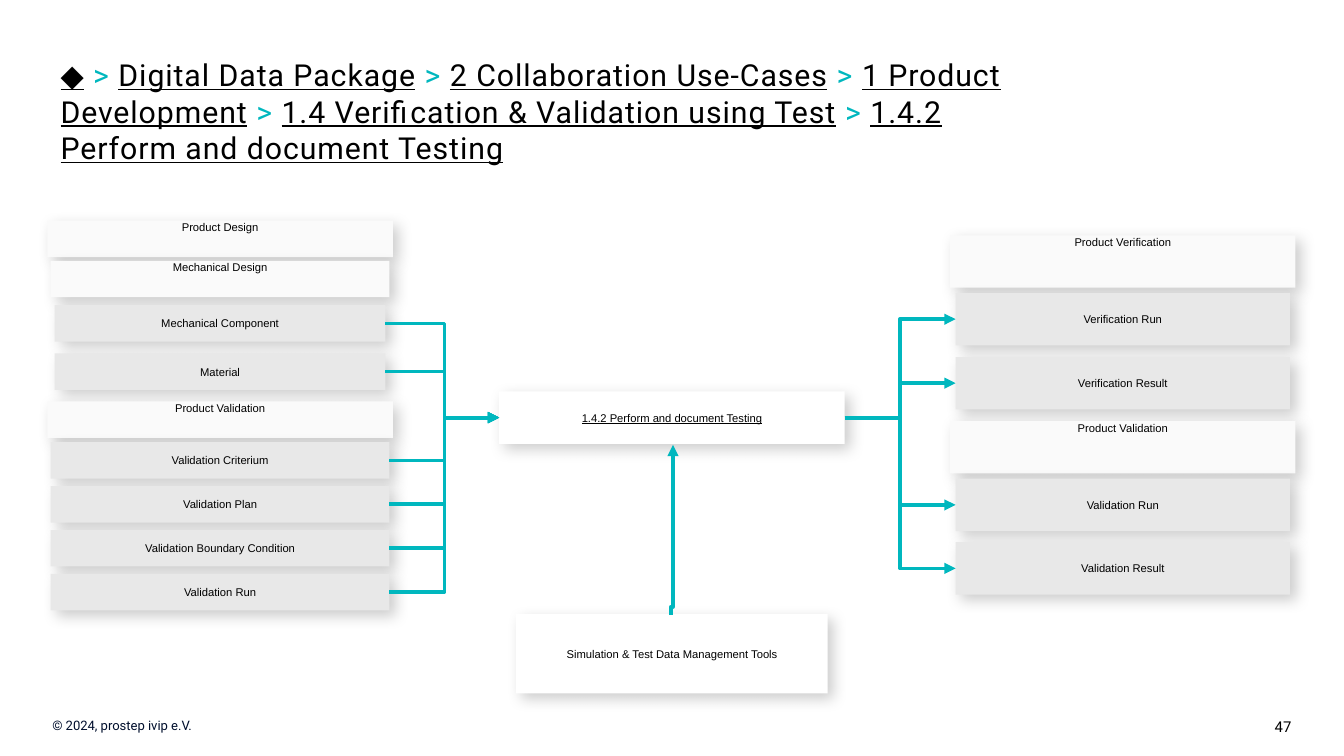
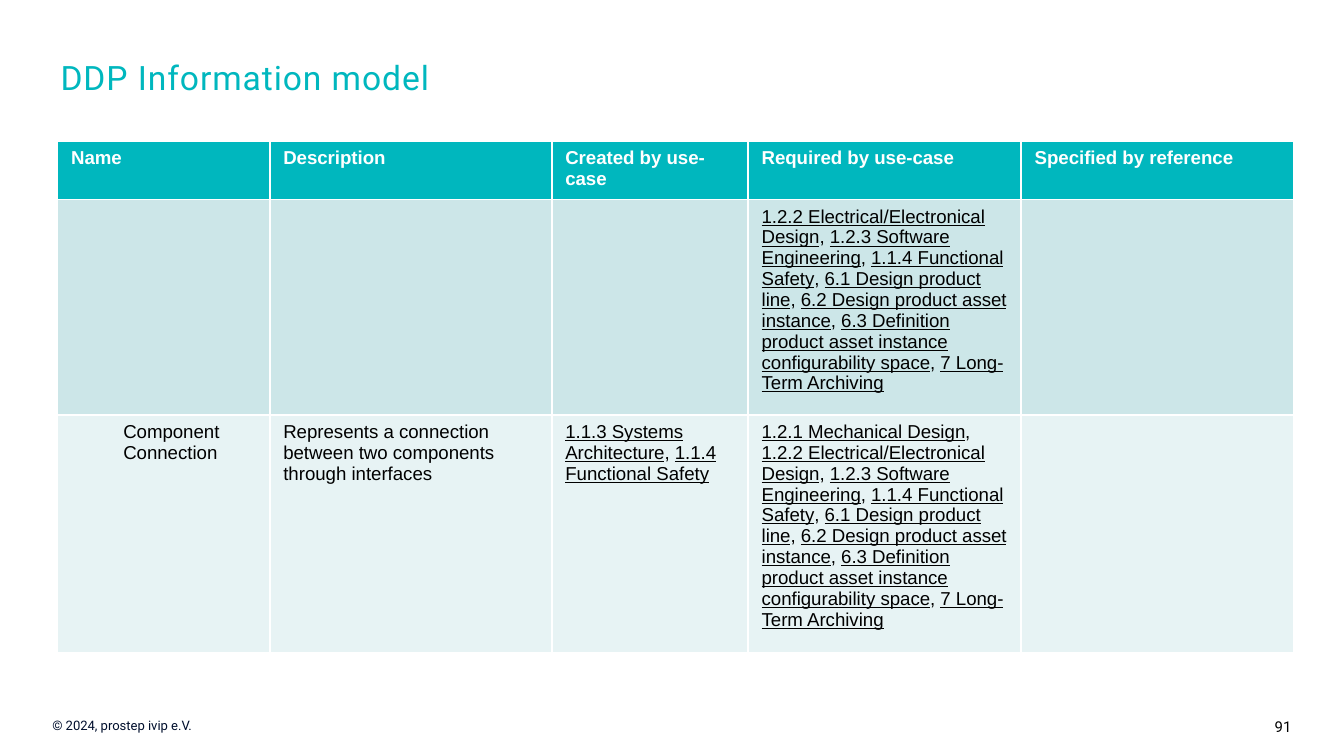
"""Build the testing use-case diagram and the information model table."""
from dataclasses import dataclass

from lxml import etree
from pptx import Presentation
from pptx import util as u
from pptx.dml.color import RGBColor
from pptx.enum import shapes, text
from pptx.oxml.ns import qn


@dataclass(frozen=True)
class Theme:
    teal: RGBColor = RGBColor.from_string("00B7BE")
    black: RGBColor = RGBColor.from_string("000000")
    navy: RGBColor = RGBColor.from_string("000F2D")
    white: RGBColor = RGBColor.from_string("FFFFFF")
    group: RGBColor = RGBColor.from_string("FAFAFA")
    item: RGBColor = RGBColor.from_string("E8E8E8")
    row_dark: RGBColor = RGBColor.from_string("CCE6E8")
    row_light: RGBColor = RGBColor.from_string("E7F3F4")
    heading_font: str = "Roboto"
    body_font: str = "Arial"
    title: float = 18
    breadcrumb: float = 16.2
    table: float = 10
    page: float = 8
    copyright: float = 7
    node: float = 6


theme = Theme()


def write_links(paragraph, links, separator):
    """Write black underlined links with plain separators between them."""
    for position, link in enumerate(links):
        if position:
            paragraph.add_run().text = separator
        run = paragraph.add_run()
        run.text = link
        run.font.underline = True
        run.font.color.rgb = theme.black


def add_node(slide, label, centre, top, width, height, fill):
    """Add a shadowed box; group boxes carry their label at the top."""
    node = slide.shapes.add_shape(
        shapes.MSO_SHAPE.RECTANGLE,
        u.Cm(centre - width / 2), u.Cm(top), u.Cm(width), u.Cm(height))
    node.fill.solid()
    node.fill.fore_color.rgb = fill
    node.line.fill.background()
    node.shadow.inherit = False
    effects = node._element.spPr.find(qn("a:effectLst"))
    shadow = etree.SubElement(
        effects, qn("a:outerShdw"), blurRad=str(u.Pt(8)), dist=str(u.Pt(4)),
        dir="2700000", algn="tl", rotWithShape="0")
    shade = etree.SubElement(shadow, qn("a:srgbClr"), val=str(theme.black))
    etree.SubElement(shade, qn("a:alpha"), val="20000")
    frame = node.text_frame
    frame.word_wrap = True
    frame.margin_left = frame.margin_right = 0
    frame.margin_top = frame.margin_bottom = 0
    frame.vertical_anchor = (
        text.MSO_ANCHOR.TOP if fill == theme.group else text.MSO_ANCHOR.MIDDLE)
    paragraph = frame.paragraphs[0]
    paragraph.text = label
    paragraph.alignment = text.PP_ALIGN.CENTER
    paragraph.font.name = theme.body_font
    paragraph.font.size = u.Pt(theme.node)
    paragraph.font.color.rgb = theme.black
    return node


deck = Presentation()
deck.slide_width = u.Cm(25.4)
deck.slide_height = u.Cm(14.29)
title_only = deck.slide_layouts[5]

breadcrumb = [
    "◆", "Digital Data Package", "2 Collaboration Use-Cases",
    "1 Product Development", "1.4 Verification & Validation using Test",
    "1.4.2 Perform and document Testing",
]
for page_number, title_size in (("47", theme.breadcrumb), ("91", theme.title)):
    slide = deck.slides.add_slide(title_only)
    heading = slide.shapes.title
    heading.left, heading.top = u.Cm(0.89), u.Cm(0.94)
    heading.width, heading.height = u.Cm(19.02), u.Cm(1.73)
    heading.text_frame.auto_size = text.MSO_AUTO_SIZE.NONE
    heading.text_frame.vertical_anchor = text.MSO_ANCHOR.TOP
    paragraph = heading.text_frame.paragraphs[0]
    paragraph.alignment = text.PP_ALIGN.LEFT
    paragraph.font.name = theme.heading_font
    paragraph.font.size = u.Pt(title_size)
    paragraph.font.color.rgb = theme.teal
    paragraph.font._rPr.set("spc", "50")

    for label, left, width, height, margins, align, size, colour in (
        (page_number, 23.09, 2.31, 0.61, (0.25, 0.99),
         text.PP_ALIGN.RIGHT, theme.page, theme.black),
        ("© 2024, prostep ivip e.V.", 0, 6.1, 0.56, (0.99, 0.25),
         text.PP_ALIGN.LEFT, theme.copyright, theme.navy),
    ):
        footer = slide.shapes.add_textbox(
            u.Cm(left), u.Cm(13.44), u.Cm(width), u.Cm(height)).text_frame
        footer.word_wrap = True
        footer.auto_size = text.MSO_AUTO_SIZE.SHAPE_TO_FIT_TEXT
        footer.margin_left, footer.margin_right = map(u.Cm, margins)
        paragraph = footer.paragraphs[0]
        paragraph.text = label
        paragraph.alignment = align
        paragraph.font.name = theme.heading_font
        paragraph.font.size = u.Pt(size)
        paragraph.font.color.rgb = colour

testing_slide, model_slide = deck.slides
write_links(testing_slide.shapes.title.text_frame.paragraphs[0], breadcrumb, " > ")
model_slide.shapes.title.text_frame.paragraphs[0].add_run().text = "DDP Information model"

middle = 12.7
use_case = add_node(testing_slide, breadcrumb[-1], middle, 7.4, 6.53, 0.99, theme.white)
use_case.text_frame.paragraphs[0].font.underline = True
add_node(testing_slide, "Simulation & Test Data Management Tools",
         middle, 11.61, 5.89, 1.5, theme.white)

inputs = [
    ("Product Design", 4.17, 6.53, theme.group),
    ("Mechanical Design", 4.93, 6.4, theme.group),
    ("Mechanical Component", 5.77, 6.25, theme.item),
    ("Material", 6.68, 6.25, theme.item),
    ("Product Validation", 7.59, 6.53, theme.group),
    ("Validation Criterium", 8.36, 6.4, theme.item),
    ("Validation Plan", 9.19, 6.4, theme.item),
    ("Validation Boundary Condition", 10.02, 6.4, theme.item),
    ("Validation Run", 10.85, 6.4, theme.item),
]
outputs = [
    ("Product Verification", 4.45, 6.53, theme.group),
    ("Verification Run", 5.54, 6.32, theme.item),
    ("Verification Result", 6.75, 6.32, theme.item),
    ("Product Validation", 7.96, 6.53, theme.group),
    ("Validation Run", 9.05, 6.32, theme.item),
    ("Validation Result", 10.25, 6.32, theme.item),
]
flows = []
for nodes, centre, height, trunk in ((inputs, 4.16, 0.69, 8.4), (outputs, 21.22, 0.99, 17.01)):
    for label, top, width, fill in nodes:
        node = add_node(testing_slide, label, centre, top, width, height, fill)
        if fill == theme.group:
            continue
        source, target = (node, use_case) if nodes is inputs else (use_case, node)
        flow = testing_slide.shapes.add_connector(shapes.MSO_CONNECTOR.ELBOW, 0, 0, 0, 0)
        flow.begin_connect(source, 3)
        flow.end_connect(target, 1)
        bend = (u.Cm(trunk) - flow.begin_x) / (flow.end_x - flow.begin_x)
        flows.append((flow, bend))

tool_flow = testing_slide.shapes.add_connector(
    shapes.MSO_CONNECTOR.ELBOW,
    u.Cm(middle + 1.61), u.Cm(10.04), u.Cm(middle - 1.61), u.Cm(10))
tool_flow._element.spPr.find(qn("a:xfrm")).set("rot", "5400000")
flows.append((tool_flow, 0.05))

for flow, bend in flows:
    flow.line.color.rgb = theme.teal
    flow.line.width = u.Pt(2)
    etree.SubElement(flow.line._get_or_add_ln(), qn("a:tailEnd"), type="triangle")
    properties = flow._element.spPr
    etree.SubElement(properties, qn("a:effectLst"))
    adjustments = properties.find(qn("a:prstGeom")).find(qn("a:avLst"))
    etree.SubElement(adjustments, qn("a:gd"), name="adj1", fmla=f"val {round(bend * 100000)}")

required_by = [
    "1.2.1 Mechanical Design", "1.2.2 Electrical/Electronical Design",
    "1.2.3 Software Engineering", "1.1.4 Functional Safety",
    "6.1 Design product line", "6.2 Design product asset instance",
    "6.3 Definition product asset instance configurability space",
    "7 Long-Term Archiving",
]
model_rows = [
    (1.04, theme.teal, ["Name", "Description", "Created by use-case",
                        "Required by use-case", "Specified by reference"]),
    (3.81, theme.row_dark, ["", "", "", required_by[1:], ""]),
    (4.24, theme.row_light, [
        "Component Connection",
        "Represents a connection between two components through interfaces",
        ["1.1.3 Systems Architecture", "1.1.4 Functional Safety"],
        required_by, ""]),
]
column_widths = [4.01, 5.33, 3.71, 5.16, 5.16]
model = model_slide.shapes.add_table(
    len(model_rows), len(column_widths), u.Cm(1.09), u.Cm(2.67),
    u.Cm(sum(column_widths)), u.Cm(sum(row[0] for row in model_rows))).table
for column, width in zip(model.columns, column_widths):
    column.width = u.Cm(width)
for row, (height, fill, contents) in zip(model.rows, model_rows):
    row.height = u.Cm(height)
    is_header = fill == theme.teal
    for cell, content in zip(row.cells, contents):
        cell.fill.solid()
        cell.fill.fore_color.rgb = fill
        paragraph = cell.text_frame.paragraphs[0]
        paragraph.font.name = theme.body_font
        paragraph.font.size = u.Pt(theme.table)
        paragraph.font.bold = is_header
        paragraph.font.color.rgb = theme.white if is_header else theme.black
        if isinstance(content, list):
            write_links(paragraph, content, ", ")
        elif content:
            paragraph.add_run().text = content
model.cell(2, 0).margin_left = u.Cm(1.24)

deck.save("out.pptx")
